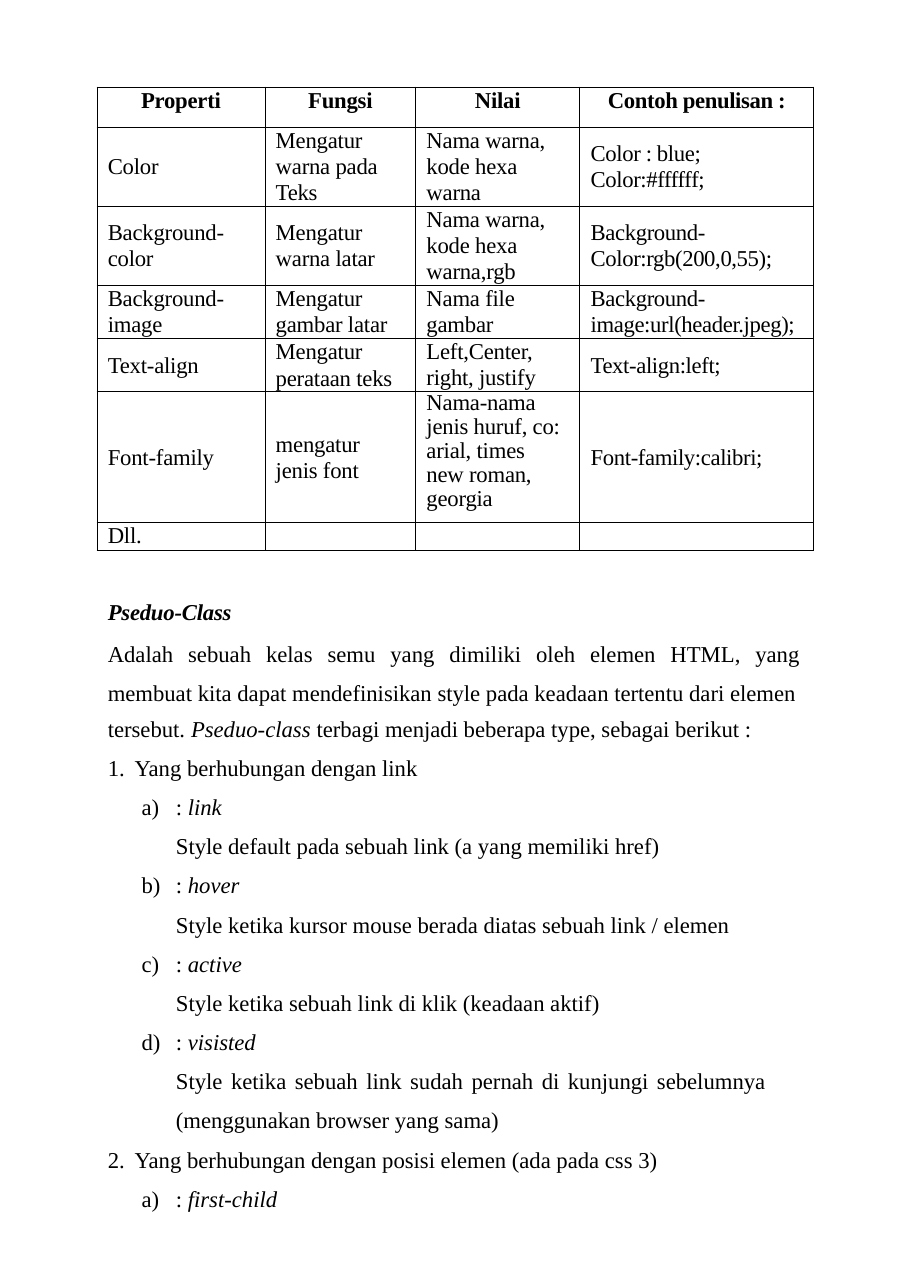
from dataclasses import dataclass

from lxml import etree
from pptx import Presentation
from pptx.dml.color import RGBColor
from pptx.enum.text import MSO_ANCHOR, PP_ALIGN
from pptx.oxml.ns import qn
from pptx.util import Cm, Pt

TOP, MIDDLE = MSO_ANCHOR.TOP, MSO_ANCHOR.MIDDLE
LEFT, CENTER, JUSTIFY = PP_ALIGN.LEFT, PP_ALIGN.CENTER, PP_ALIGN.JUSTIFY


@dataclass(frozen=True)
class Theme:
    font: str = "Times New Roman"
    ink: str = "000000"
    size: float = 12
    rule: float = 0.5
    row: float = 13.8
    tight: float = 12.7
    line: float = 20.7


THEME = Theme()
COLS = (3.13, 2.81, 3.06, 4.36)
ROWS = (0.75, 1.47, 1.47, 0.99, 1, 2.44, 0.5)
SPACING = (-10, -10, -10, -20)
CELLS = (
    ("Properti", "Fungsi", "Nilai", "Contoh penulisan :"),
    ("Color", "Mengatur warna pada\nTeks", "Nama warna, kode hexa\nwarna",
     "Color : blue; Color:#ffffff;"),
    ("Background- color", "Mengatur warna latar",
     "Nama warna, kode hexa warna,rgb", "Background- Color:rgb(200,0,55);"),
    ("Background- image", "Mengatur gambar latar", "Nama file gambar",
     "Background- image:url(header.jpeg);"),
    ("Text-align", "Mengatur perataan teks", "Left,Center, right, justify",
     "Text-align:left;"),
    ("Font-family", "mengatur jenis font",
     "Nama-nama\njenis huruf, co: arial, times new roman, georgia",
     "Font-family:calibri;"),
    ("Dll.", "", "", ""),
)
INTRO = ("Adalah sebuah kelas semu yang dimiliki oleh elemen HTML, yang membuat "
         "kita dapat mendefinisikan style pada keadaan tertentu dari elemen")
KINDS = (
    ("link", "Style default pada sebuah link (a yang memiliki href)"),
    ("hover", "Style ketika kursor mouse berada diatas sebuah link / elemen"),
    ("active", "Style ketika sebuah link di klik (keadaan aktif)"),
    ("visisted", "Style ketika sebuah link sudah pernah di kunjungi sebelumnya "
                 "(menggunakan browser yang sama)"),
)


def put(obj, form):
    for name, value in form.items():
        setattr(obj, name, value)


def write(para, text, bold=False, space=0, **form):
    put(para, form)
    for i, part in enumerate(text.split("*")):
        if not part:
            continue
        run = para.add_run()
        run.text = part
        put(run.font, {"name": THEME.font, "size": Pt(THEME.size),
                       "bold": bold, "italic": i % 2 == 1})
        run.font.color.rgb = RGBColor.from_string(THEME.ink)
        if space:
            run.font._element.set("spc", str(space))
    if not text:
        end = etree.SubElement(para._p, qn("a:endParaRPr"))
        end.set("sz", str(int(THEME.size * 100)))


def indent(para, left, hang=0, right=0):
    props = para._p.get_or_add_pPr()
    for name, value in {"marL": left, "indent": -hang, "marR": right}.items():
        props.set(name, str(Cm(value)))
    return props


def number(para, left, hang, style, start):
    props = indent(para, left, hang)
    mark = etree.SubElement(props, qn("a:buFont"))
    mark.set("typeface", THEME.font)
    mark = etree.SubElement(props, qn("a:buAutoNum"))
    mark.set("type", style)
    mark.set("startAt", str(start))


def frame(cell):
    props = cell._tc.get_or_add_tcPr()
    for i, side in enumerate(("lnL", "lnR", "lnT", "lnB")):
        edge = etree.Element(qn(f"a:{side}"), w=str(Pt(THEME.rule)))
        fill = etree.SubElement(edge, qn("a:solidFill"))
        etree.SubElement(fill, qn("a:srgbClr"), val=THEME.ink)
        props.insert(i, edge)


def draw_cell(cell, text, row, col):
    head = row == 0
    put(cell, {
        "margin_left": Cm(0 if head else 0.2),
        "margin_right": Cm(0 if head else 0.25),
        "margin_top": 0, "margin_bottom": 0,
        "vertical_anchor": TOP if head or col == 2 else MIDDLE,
    })
    cell.fill.background()
    frame(cell)
    body = cell.text_frame
    tight = (row, col) == (5, 2) or row == 6
    for i, line in enumerate(text.split("\n")):
        para = body.add_paragraph() if i else body.paragraphs[0]
        write(para, line, bold=head, space=SPACING[col],
              alignment=CENTER if head else LEFT,
              line_spacing=Pt(THEME.tight if tight else THEME.row))


def draw_table(slide):
    shape = slide.shapes.add_table(len(ROWS), len(COLS), Cm(1.81), Cm(1.62),
                                   Cm(sum(COLS)), Cm(sum(ROWS)))
    table = shape.table
    put(table, {"first_row": False, "horz_banding": False})
    for col, width in zip(table.columns, COLS):
        col.width = Cm(width)
    for row, height in zip(table.rows, ROWS):
        row.height = Cm(height)
    for r, row in enumerate(CELLS):
        for c, text in enumerate(row):
            draw_cell(table.cell(r, c), text, r, c)


def add_line(body, text, line=THEME.line, **form):
    para = body.add_paragraph()
    write(para, text, line_spacing=Pt(line), **form)
    return para


def add_topic(body, text, start):
    number(add_line(body, text), 0.5, 0.5, "arabicPeriod", start)


def add_kind(body, name, start):
    number(add_line(body, f": *{name}*"), 1.27, 0.64, "alphaLcParenR", start)


def draw_text(slide):
    box = slide.shapes.add_textbox(Cm(2.01), Cm(10.91), Cm(12.92), Cm(11.7))
    body = box.text_frame
    put(body, {"word_wrap": True, "margin_left": 0, "margin_right": 0,
               "margin_top": 0, "margin_bottom": 0})
    write(body.paragraphs[0], "*Pseduo-Class*", bold=True, space=-10,
          line_spacing=Pt(THEME.line))
    add_line(body, INTRO, alignment=JUSTIFY, space_before=Pt(1.5))
    add_line(body, "tersebut. *Pseduo-class* terbagi menjadi beberapa type, "
                   "sebagai berikut :", line=19)
    add_topic(body, "Yang berhubungan dengan link", 1)
    for i, (name, note) in enumerate(KINDS, 1):
        add_kind(body, name, i)
        last = i == len(KINDS)
        para = add_line(body, note, alignment=JUSTIFY if last else LEFT)
        indent(para, 1.27, right=0.64 if last else 0)
    add_topic(body, "Yang berhubungan dengan posisi elemen (ada pada css 3)", 2)
    add_kind(body, "first-child", 1)


def main():
    deck = Presentation()
    put(deck, {"slide_width": Cm(17), "slide_height": Cm(24)})
    slide = deck.slides.add_slide(deck.slide_layouts[6])
    draw_table(slide)
    draw_text(slide)
    deck.save("out.pptx")


if __name__ == "__main__":
    main()
